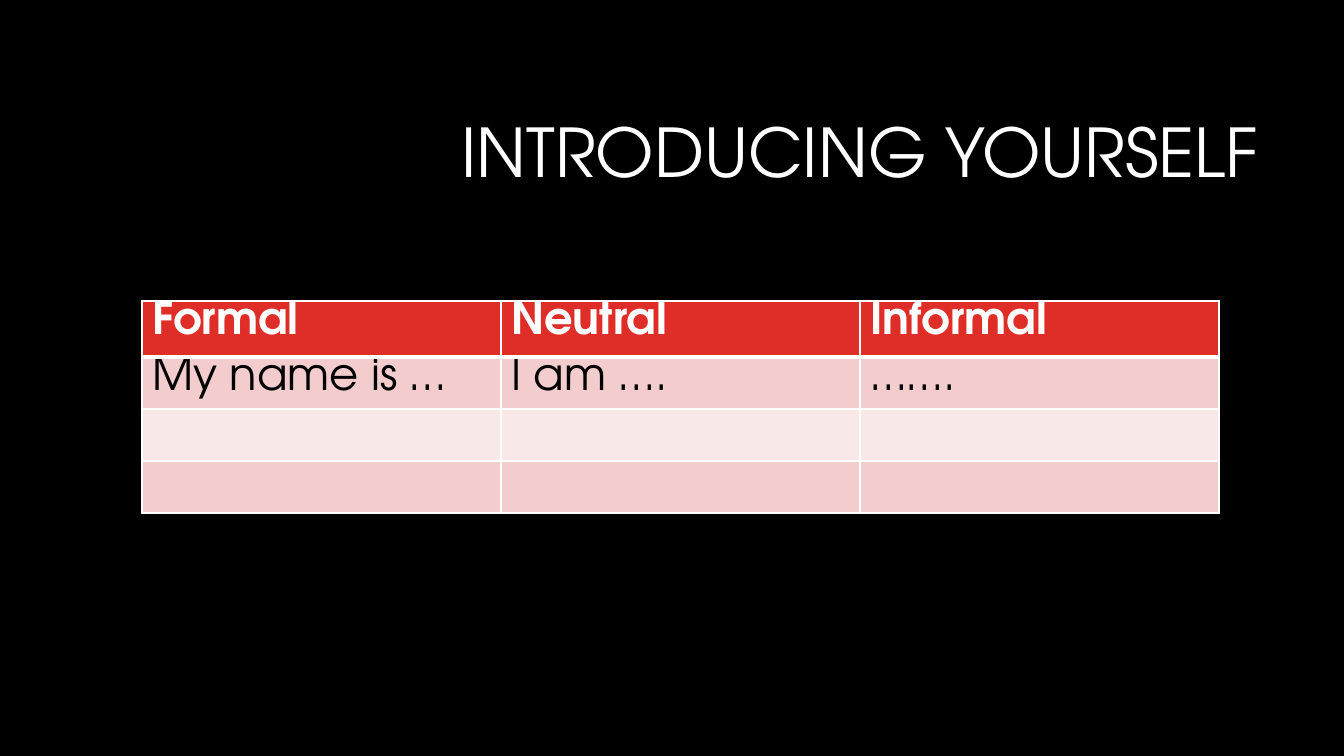
from lxml.etree import SubElement
from pptx import Presentation
from pptx.dml.color import RGBColor
from pptx.enum.text import MSO_ANCHOR, PP_ALIGN
from pptx.oxml.ns import qn
from pptx.util import Emu, Pt

TITLE = "INTRODUCING YOURSELF"
PHRASES = [
    ("Formal", "Neutral", "Informal"),
    ("My name is …", "I am ….", "……."),
    ("", "", ""),
    ("", "", ""),
]
COLORS = {
    "background": "000000",
    "light": "FFFFFF",
    "dark": "000000",
    "header": "DF2E28",
    "odd": "F3CDCD",
    "even": "F9E8E8",
}
FONT = "TeX Gyre Adventor"
PX = 914400 / 100.8
TITLE_BOX = (320, 85, 949, 142)
TABLE_LEFT, TABLE_TOP = 142, 301
COLUMN_WIDTH = 359
HEADER_HEIGHT, ROW_HEIGHT = 56, 52


def px(length):
    return Emu(round(length * PX))


def color(name):
    return RGBColor.from_string(COLORS[name])


def style(paragraph, size, ink, bold=False):
    for run in paragraph.runs:
        run.font.name = FONT
        run.font.size = Pt(size)
        run.font.bold = bold
        run.font.color.rgb = color(ink)


def add_borders(cell, bottom_width):
    properties = cell._tc.get_or_add_tcPr()
    widths = {"lnL": 1, "lnR": 1, "lnT": 1, "lnB": bottom_width}
    for position, (side, width) in enumerate(widths.items()):
        border = SubElement(properties, qn(f"a:{side}"), w=str(Pt(width)))
        fill = SubElement(border, qn("a:solidFill"))
        SubElement(fill, qn("a:srgbClr"), val=COLORS["light"])
        properties.insert(position, border)


def add_title(slide):
    title = slide.shapes.title
    title.left, title.top, title.width, title.height = map(px, TITLE_BOX)
    frame = title.text_frame
    frame.text = TITLE
    frame.word_wrap = True
    frame.vertical_anchor = MSO_ANCHOR.MIDDLE
    heading = frame.paragraphs[0]
    heading.alignment = PP_ALIGN.RIGHT
    heading.line_spacing = 0.9
    style(heading, 48, "light")


def add_phrases(slide):
    heights = [HEADER_HEIGHT] + [ROW_HEIGHT] * (len(PHRASES) - 1)
    columns = len(PHRASES[0])
    table = slide.shapes.add_table(
        len(PHRASES), columns, px(TABLE_LEFT), px(TABLE_TOP),
        px(COLUMN_WIDTH * columns), px(sum(heights)),
    ).table
    for column in table.columns:
        column.width = px(COLUMN_WIDTH)
    for index, phrases in enumerate(PHRASES):
        table.rows[index].height = px(heights[index])
        header = index == 0
        band = "header" if header else "odd" if index % 2 else "even"
        for cell, phrase in zip(table.rows[index].cells, phrases):
            cell.margin_top = cell.margin_bottom = 0
            cell.fill.solid()
            cell.fill.fore_color.rgb = color(band)
            add_borders(cell, 3 if header else 1)
            cell.text_frame.text = phrase
            entry = cell.text_frame.paragraphs[0]
            style(entry, 32, "light" if header else "dark", header)


def main():
    deck = Presentation()
    deck.slide_width, deck.slide_height = px(1344), px(756)
    slide = deck.slides.add_slide(deck.slide_layouts[5])
    slide.background.fill.solid()
    slide.background.fill.fore_color.rgb = color("background")
    add_title(slide)
    add_phrases(slide)
    deck.save("out.pptx")


if __name__ == "__main__":
    main()
